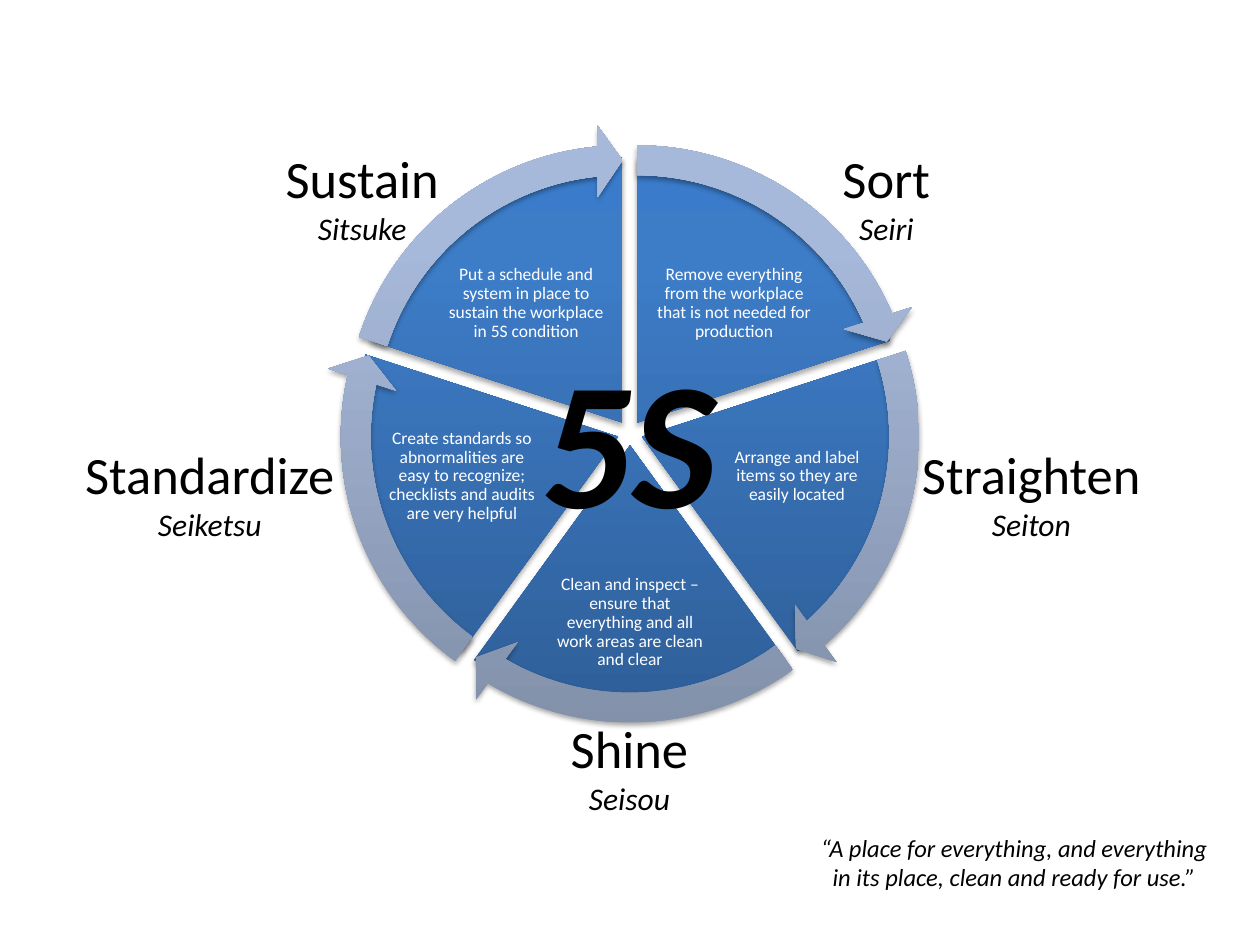
"""Build the 5S cycle slide: five wedges, five curved arrows and their labels."""
import math
import pptx
import pptx.dml.color
import pptx.enum.shapes
import pptx.enum.text
import pptx.oxml
import pptx.oxml.ns
import pptx.util

Pt = pptx.util.Pt
SHAPE = pptx.enum.shapes.MSO_SHAPE
ANCHOR = pptx.enum.text.MSO_ANCHOR
FIT = pptx.enum.text.MSO_AUTO_SIZE.SHAPE_TO_FIT_TEXT

STEPS = [
    ("Remove everything from the workplace that is not needed for production",
     (370.8, 141.1, 97.2, 64.8)),
    ("Arrange and label items so they are easily located",
     (410.4, 236.2, 90, 72)),
    ("Clean and inspect – ensure that everything and all work areas are clean and clear",
     (316.8, 316.1, 86.4, 79.2)),
    ("Create standards so abnormalities are easy to recognize; "
     "checklists and audits are very helpful",
     (218.9, 236.2, 90, 72)),
    ("Put a schedule and system in place to sustain the workplace in 5S condition",
     (252, 141.1, 97.2, 64.8)),
]
LABELS = [
    ("Sustain", "Sitsuke", (133.9, 77.8, 146.2, 68.4)),
    ("Standardize", "Seiketsu", (42.5, 247, 154.8, 68.4)),
    ("Straighten", "Seiton", (511.9, 247, 154.8, 68.4)),
    ("Shine", "Seisou", (286.6, 403.9, 146.2, 68.4)),
    ("Sort", "Seiri", (433.4, 77.8, 146.2, 68.4)),
]
QUOTE = "“A place for everything, and everything in its place, clean and ready for use.”"
CENTER, OFFSET = (360, 247.3), 7.2
PIE_SIZE, ARROW_SIZE = 303.1, 340.6
PIE_STOPS = [(0, "2F5F99"), (80, "3D7CC7"), (100, "3A7CCB")]
ARROW_STOPS = [(0, "818FA8"), (80, "A7B9DA"), (100, "A7BADC")]
SWEEP, HEAD_ANGLE = 72, 5.46
ADJ_PER_DEGREE = 0.6

BODY = {"size": Pt(10), "color": "FFFFFF"}
TITLE = {"size": Pt(30)}
JAPANESE = {"size": Pt(18), "italic": True}
CENTRE_MARK = {"size": Pt(103.5), "bold": True, "italic": True}
QUOTE_FONT = {"size": Pt(14), "italic": True}


def rgb(value):
    return pptx.dml.color.RGBColor.from_string(value)


def add_xml(parent, xml, index):
    ns = pptx.oxml.ns.nsdecls("a")
    parent.insert(index, pptx.oxml.parse_xml(xml.replace(">", f" {ns}>", 1)))


def add_text(s, box, lines, margins, spacing=1, **frame):
    tf = s.shapes.add_textbox(*map(Pt, box)).text_frame
    tf.margin_left = tf.margin_right = Pt(margins[0])
    tf.margin_top = tf.margin_bottom = Pt(margins[1])
    for key, value in {"word_wrap": True, **frame}.items():
        setattr(tf, key, value)
    for i, (text, font) in enumerate(lines):
        p = tf.add_paragraph() if i else tf.paragraphs[0]
        p.alignment = pptx.enum.text.PP_ALIGN.CENTER
        p.line_spacing = spacing
        r = p.add_run()
        r.text = text
        values = {"name": "Calibri", "color": "000000", **font}
        r.font.color.rgb = rgb(values.pop("color"))
        for key, value in values.items():
            setattr(r.font, key, value)


def add_sector(s, kind, index, size, adjustments, stops):
    middle = math.radians(270 + SWEEP * (index + 0.5))
    left = CENTER[0] + OFFSET * math.cos(middle) - size / 2
    top = CENTER[1] + OFFSET * math.sin(middle) - size / 2
    sp = s.shapes.add_shape(kind, Pt(left), Pt(top), Pt(size), Pt(size))
    for i, value in enumerate(adjustments):
        sp.adjustments[i] = value
    sp.line.fill.background()
    sp.shadow.inherit = False
    props = sp.fill._xPr
    marks = "".join(f'<a:gs pos="{pos * 1000}"><a:srgbClr val="{rgb(color)}"/></a:gs>'
                    for pos, color in stops)
    add_xml(props, f'<a:gradFill rotWithShape="1"><a:gsLst>{marks}</a:gsLst>'
                   '<a:lin ang="16200000" scaled="0"/></a:gradFill>', 2)
    effects = props.find(pptx.oxml.ns.qn("a:effectLst"))
    add_xml(effects, f'<a:outerShdw blurRad="{Pt(3.1)}" dist="{Pt(1.8)}" dir="5400000" '
                     'rotWithShape="0"><a:srgbClr val="000000"><a:alpha val="35000"/>'
                     '</a:srgbClr></a:outerShdw>', 0)


def main():
    prs = pptx.Presentation()
    prs.slide_width, prs.slide_height = Pt(720), Pt(540)
    s = prs.slides.add_slide(prs.slide_layouts[6])
    angles = [((270 + SWEEP * i) % 360, (270 + SWEEP * (i + 1)) % 360)
              for i in range(len(STEPS))]

    for i, (text, box) in enumerate(STEPS):
        adjustments = [a * ADJ_PER_DEGREE for a in angles[i]]
        add_sector(s, SHAPE.PIE, i, PIE_SIZE, adjustments, PIE_STOPS)
        add_text(s, box, [(text, BODY)], (0.9, 0.9), 0.9, vertical_anchor=ANCHOR.MIDDLE)
    for i, (start, end) in enumerate(angles):
        turns = [a * ADJ_PER_DEGREE for a in (HEAD_ANGLE, end - HEAD_ANGLE, start)]
        add_sector(s, SHAPE.CIRCULAR_ARROW, i, ARROW_SIZE, [0.05, *turns, 0.06], ARROW_STOPS)

    add_text(s, (303.1, 184.3, 113, 131), [("5S", CENTRE_MARK)], (5, 2.9),
             word_wrap=False, auto_size=FIT)
    for name, japanese, box in LABELS:
        add_text(s, box, [(name, TITLE), (japanese, JAPANESE)], (5, 2.9),
                 vertical_anchor=ANCHOR.MIDDLE)
    add_text(s, (456.5, 472.3, 246.2, 41), [(QUOTE, QUOTE_FONT)], (7.2, 3.6), auto_size=FIT)
    prs.save("out.pptx")


if __name__ == "__main__":
    main()
